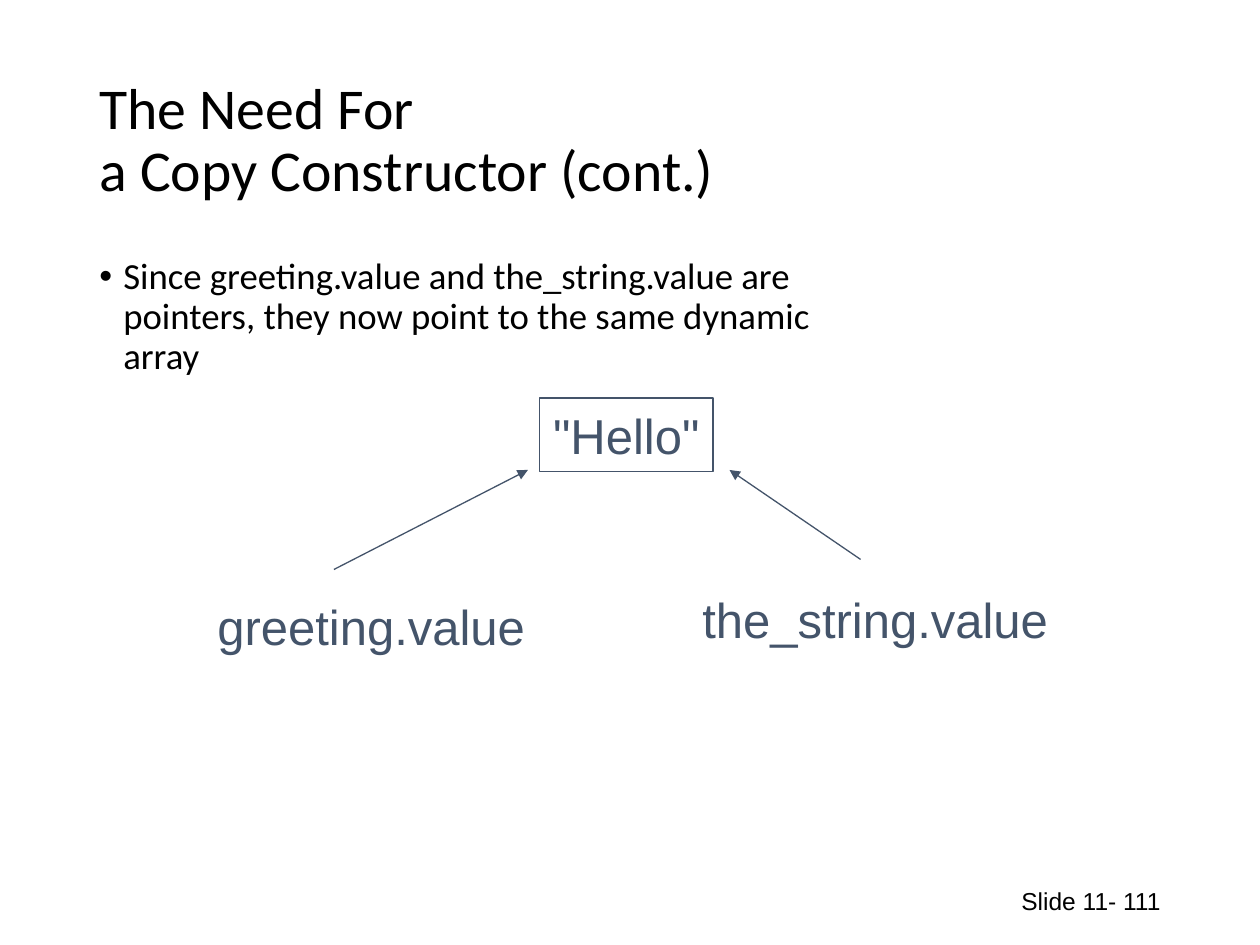
from dataclasses import dataclass

from lxml.etree import SubElement
from pptx import Presentation
from pptx.dml.color import RGBColor as Color
from pptx.enum.shapes import MSO_CONNECTOR as Connector, MSO_SHAPE as Shape
from pptx.enum.text import MSO_ANCHOR as Anchor, PP_ALIGN as Align
from pptx.oxml.ns import qn
from pptx.util import Inches, Pt


@dataclass(frozen=True)
class Theme:
    ink: Color = Color(0, 0, 0)
    accent: Color = Color(0x44, 0x54, 0x6A)
    paper: Color = Color(255, 255, 255)
    heading_font: str = "Calibri"
    label_font: str = "Arial"
    title_size: float = 33
    body_size: float = 21
    label_size: float = 28
    footer_size: float = 14
    line_width: float = 0.75


THEME = Theme()
WIDTH, HEIGHT = Inches(10), Inches(7.5)
COLUMNS, ROWS = 100, 75


@dataclass(frozen=True)
class Box:
    """An area of the slide, in grid columns and rows."""
    left: float
    top: float
    width: float
    height: float

    def inner(self, left, top, width, height):
        return Box(self.left + left, self.top + top, width, height)

    def lengths(self):
        return (column(self.left), row(self.top),
                column(self.width), row(self.height))


def column(count):
    return int(WIDTH * count / COLUMNS)


def row(count):
    return int(HEIGHT * count / ROWS)


def write(shape, lines, font, size, color, align=Align.LEFT,
          anchor=Anchor.MIDDLE, wrap=True):
    """Write one paragraph, with a line break between its lines."""
    frame = shape.text_frame
    frame.word_wrap = wrap
    frame.vertical_anchor = anchor
    para = frame.paragraphs[0]
    para.alignment = align
    for number, line in enumerate(lines):
        if number:
            para.add_line_break()
        span = para.add_run()
        span.text = line
        span.font.name = font
        span.font.size = Pt(size)
        span.font.color.rgb = color
    return para


def add_title(page, box, lines):
    shape = page.shapes.add_textbox(*box.lengths())
    para = write(shape, lines, THEME.heading_font, THEME.title_size, THEME.ink)
    para.line_spacing = 0.9


def add_bullet(page, box, lines):
    shape = page.shapes.add_textbox(*box.lengths())
    para = write(shape, lines, THEME.heading_font, THEME.body_size, THEME.ink,
                 anchor=Anchor.TOP)
    para.line_spacing = 0.9
    # Hanging bullet
    settings = para._p.get_or_add_pPr()
    settings.set("marL", str(Inches(0.19)))
    settings.set("indent", str(-Inches(0.19)))
    SubElement(settings, qn("a:buFont"), typeface="Arial")
    SubElement(settings, qn("a:buChar"), char="•")


def add_label(page, box, text):
    shape = page.shapes.add_textbox(*box.lengths())
    write(shape, [text], THEME.label_font, THEME.label_size, THEME.accent,
          Align.CENTER, wrap=False)


def add_value(page, box, text):
    shape = page.shapes.add_shape(Shape.RECTANGLE, *box.lengths())
    shape.shadow.inherit = False
    shape.fill.background()
    shape.line.color.rgb = THEME.accent
    shape.line.width = Pt(THEME.line_width)
    write(shape, [text], THEME.label_font, THEME.label_size, THEME.accent,
          Align.CENTER, wrap=False)


def add_arrow(page, box, start, end):
    """Draw an arrow between two points counted from the corner of the box."""
    (x1, y1), (x2, y2) = start, end
    arrow = page.shapes.add_connector(
        Connector.STRAIGHT,
        column(box.left + x1), row(box.top + y1),
        column(box.left + x2), row(box.top + y2))
    arrow.line.color.rgb = THEME.accent
    arrow.line.width = Pt(THEME.line_width)
    SubElement(arrow.line._get_or_add_ln(), qn("a:tailEnd"), type="triangle")
    SubElement(arrow._element.spPr, qn("a:effectLst"))


def add_pointer_diagram(page, box):
    # Shared dynamic array
    add_value(page, box.inner(26.6, 0, 13.8, 5.8), '"Hello"')
    # Pointers: name, its place, and the ends of its arrow
    pointers = [
        ("greeting.value", (0, 15.2, 26.5, 5.7), (10.3, 13.6), (25.7, 5.7)),
        ("the_string.value", (38.5, 14.7, 29.5, 5.7), (52.1, 12.8), (41.7, 5.7)),
    ]
    for name, place, start, end in pointers:
        add_arrow(page, box, start, end)
        add_label(page, box.inner(*place), name)


def add_footer(page, box, text):
    shape = page.shapes.add_textbox(*box.lengths())
    write(shape, [text], THEME.label_font, THEME.footer_size, THEME.ink,
          Align.RIGHT)


def main():
    deck = Presentation()
    deck.slide_width, deck.slide_height = WIDTH, HEIGHT
    page = deck.slides.add_slide(deck.slide_layouts[6])
    page.background.fill.solid()
    page.background.fill.fore_color.rgb = THEME.paper

    add_title(page, Box(6.9, 4, 86.2, 14.5),
              ["The Need For", "a Copy Constructor (cont.)"])
    add_bullet(page, Box(6.9, 20, 86.2, 15.4),
               ["Since greeting.value and the_string.value are",
                "pointers, they now point to the same dynamic",
                "array"])
    add_pointer_diagram(page, Box(16.2, 31.6, 68, 20.9))
    add_footer(page, Box(70.6, 69.5, 22.5, 4), "Slide 11- 111")
    deck.save("out.pptx")


if __name__ == "__main__":
    main()
